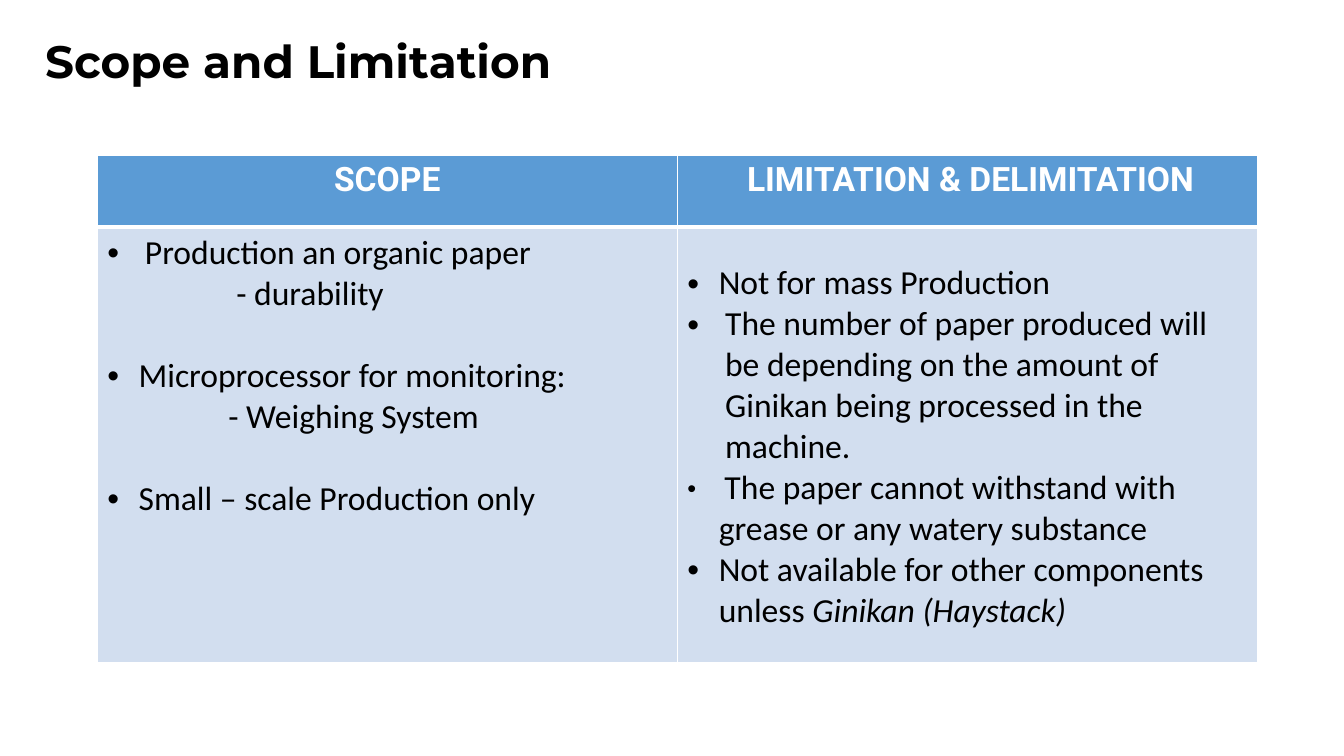
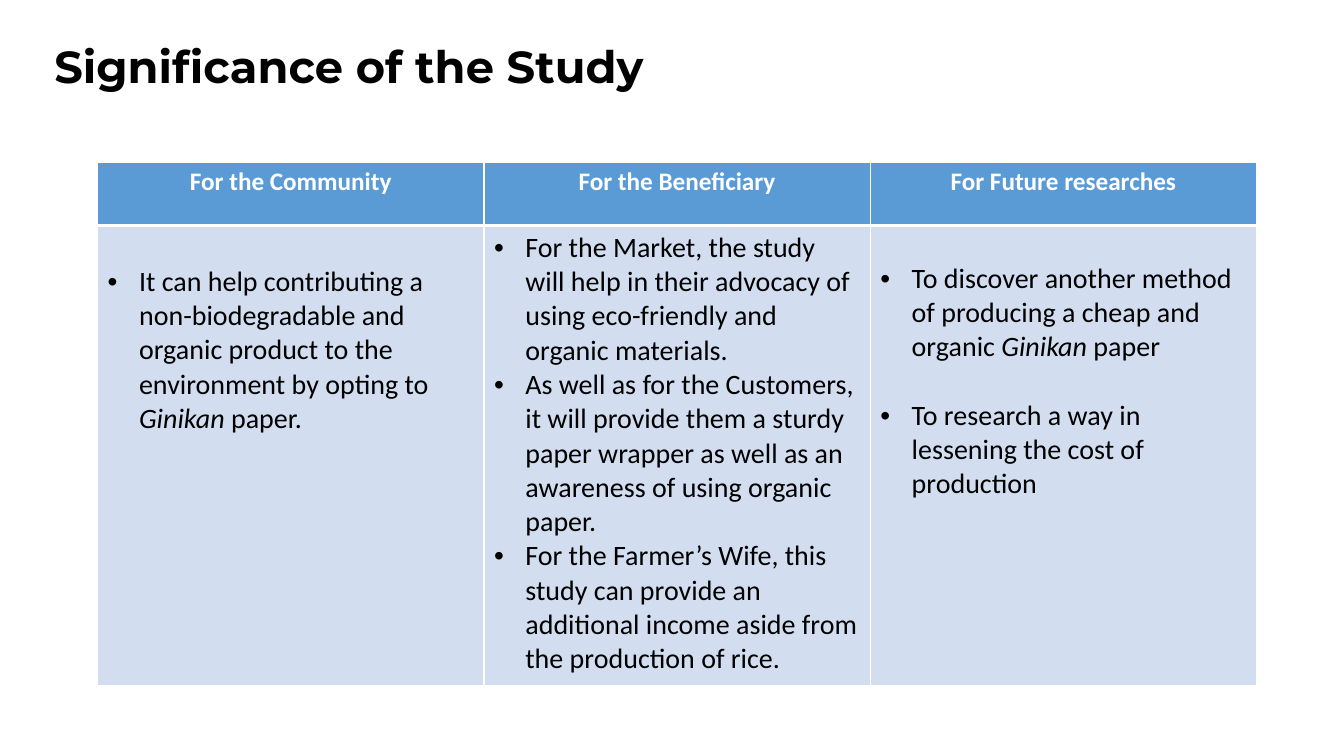
from dataclasses import dataclass

import pptx
import pptx.dml.color
import pptx.enum.text
import pptx.oxml.ns
import pptx.util
from lxml import etree

Cm, Pt = pptx.util.Cm, pptx.util.Pt
RGBColor = pptx.dml.color.RGBColor
PP_ALIGN = pptx.enum.text.PP_ALIGN
MSO_ANCHOR = pptx.enum.text.MSO_ANCHOR
qn = pptx.oxml.ns.qn

BLACK = RGBColor(0x00, 0x00, 0x00)
WHITE = RGBColor(0xFF, 0xFF, 0xFF)
HEADER_BLUE = RGBColor(0x5B, 0x9B, 0xD5)
BODY_BLUE = RGBColor(0xD2, 0xDE, 0xEF)

TITLE_FONT = "Montserrat"
BODY_FONT = "Calibri"
HANG = Cm(0.79)
WIDE_HANG = Cm(0.95)
CELL_TOP = Cm(0.13)


@dataclass
class Run:
    text: str
    size: float = 0  # 0 takes the size of the table text
    italic: bool = False


@dataclass
class Item:
    runs: list
    indent: int = HANG
    bullet: bool = True
    before: float = 0


@dataclass
class Column:
    heading: list
    items: list
    blank: float = 0  # free space above the first item, in points


def add_run(p, run, size, font, color, bold=False):
    r = p.add_run()
    r.text = run.text
    r.font.name = font
    r.font.size = Pt(run.size or size)
    r.font.bold = bold
    r.font.italic = run.italic
    r.font.color.rgb = color


def add_title(slide, text, box, size):
    tf = slide.shapes.add_textbox(*box).text_frame
    tf.word_wrap = True
    tf.vertical_anchor = MSO_ANCHOR.MIDDLE
    p = tf.paragraphs[0]
    p.line_spacing = 0.9
    add_run(p, Run(text), size, TITLE_FONT, BLACK, bold=True)


def set_indent(p, item):
    pPr = p._p.get_or_add_pPr()
    pPr.set("marL", str(int(item.indent)))
    pPr.set("indent", str(-int(item.indent) if item.bullet else 0))
    if item.bullet:
        etree.SubElement(pPr, qn("a:buFont"), typeface="Arial")
        etree.SubElement(pPr, qn("a:buChar"), char="•")
    else:
        etree.SubElement(pPr, qn("a:buNone"))


def style_cell(cell, fill, top=1, bottom=1):
    """Fill the cell and give it white borders, widths in points."""
    tcPr = cell._tc.get_or_add_tcPr()
    for side, width in (("L", 1), ("R", 1), ("T", top), ("B", bottom)):
        ln = etree.SubElement(tcPr, qn("a:ln" + side), w=str(int(Pt(width))))
        line_fill = etree.SubElement(ln, qn("a:solidFill"))
        etree.SubElement(line_fill, qn("a:srgbClr"), val=str(WHITE))
    cell.fill.solid()
    cell.fill.fore_color.rgb = fill


def fill_header(cell, runs, size, font):
    style_cell(cell, HEADER_BLUE, bottom=3)
    p = cell.text_frame.paragraphs[0]
    p.alignment = PP_ALIGN.CENTER
    for run in runs:
        add_run(p, run, size, font, WHITE, bold=True)


def fill_body(cell, column, size):
    style_cell(cell, BODY_BLUE, top=3)
    cell.margin_top = CELL_TOP + Pt(column.blank)
    tf = cell.text_frame
    for i, item in enumerate(column.items):
        p = tf.add_paragraph() if i else tf.paragraphs[0]
        if item.before:
            p.space_before = Pt(item.before)
        set_indent(p, item)
        for run in item.runs:
            add_run(p, run, size, BODY_FONT, BLACK)


def add_columns_table(slide, columns, box, header_height, header_size,
                      header_font, body_size):
    left, top, width, height = box
    table = slide.shapes.add_table(2, len(columns), *box).table
    table.first_row = False
    table.horz_banding = False
    table.rows[0].height = header_height
    table.rows[1].height = height - header_height
    for i, column in enumerate(columns):
        table.columns[i].width = width // len(columns)
        fill_header(table.cell(0, i), column.heading, header_size, header_font)
        fill_body(table.cell(1, i), column, body_size)


def add_scope_slide(slide):
    add_title(slide, "Scope and Limitation",
              (Cm(0.89), Cm(0.89), Cm(13.87), Cm(1.42)), 32.4)
    gap = 29.3
    scope = Column([Run("SCOPE")], [
        Item([Run("Production an organic paper")], WIDE_HANG),
        Item([Run("- durability")], Cm(3.25), bullet=False),
        Item([Run("Microprocessor for monitoring:")], before=gap),
        Item([Run("- Weighing System")], Cm(3.05), bullet=False),
        Item([Run("Small – scale Production only")], before=gap),
    ])
    limitation = Column([Run(" ", 18), Run("LIMITATION & DELIMITATION")], [
        Item([Run("Not for mass Production")]),
        Item([Run("The number of paper produced will be depending on the "
                  "amount of Ginikan being processed in the machine.")],
             WIDE_HANG),
        Item([Run(" ", 18),
              Run("The paper cannot withstand with grease or any watery "
                  "substance")]),
        Item([Run("Not available for other components unless "),
              Run("Ginikan (Haystack)", italic=True)]),
    ], blank=22)
    add_columns_table(slide, [scope, limitation],
                      (Cm(2.45), Cm(3.92), Cm(29.24), Cm(12.77)),
                      Cm(1.8), 24, "Roboto", 24)


def add_significance_slide(slide):
    add_title(slide, "Significance of the Study",
              (Cm(1.12), Cm(0.91), Cm(16.21), Cm(1.68)), 32)
    ginikan = Run("Ginikan", italic=True)
    gap = 24.4
    community = Column([Run("For the Community")], [
        Item([Run("It can help contributing a non-biodegradable and organic "
                  "product to the environment by opting to "),
              ginikan, Run(" paper.")]),
    ], blank=gap)
    beneficiary = Column([Run("For the Beneficiary")], [
        Item([Run("For the Market, the study will help in their advocacy of "
                  "using eco-friendly and organic materials.")]),
        Item([Run("As well as for the Customers, it will provide them a "
                  "sturdy paper wrapper as well as an awareness of using "
                  "organic paper.")]),
        Item([Run("For the Farmer’s Wife, this study can provide an "
                  "additional income aside from the production of rice.")]),
    ])
    future = Column([Run("For Future researches")], [
        Item([Run("To discover another method of producing a cheap and "
                  "organic "), ginikan, Run(" paper")]),
        Item([Run("To research a way in lessening the cost of production")],
             before=gap),
    ], blank=22)
    add_columns_table(slide, [community, beneficiary, future],
                      (Cm(2.46), Cm(4.08), Cm(29.21), Cm(13.2)),
                      Cm(1.6), 18, BODY_FONT, 20)


def main():
    prs = pptx.Presentation()
    prs.slide_width = Cm(33.87)
    prs.slide_height = Cm(19.05)
    blank_layout = prs.slide_layouts[6]
    for build in (add_scope_slide, add_significance_slide):
        build(prs.slides.add_slide(blank_layout))
    prs.save("out.pptx")


if __name__ == "__main__":
    main()
